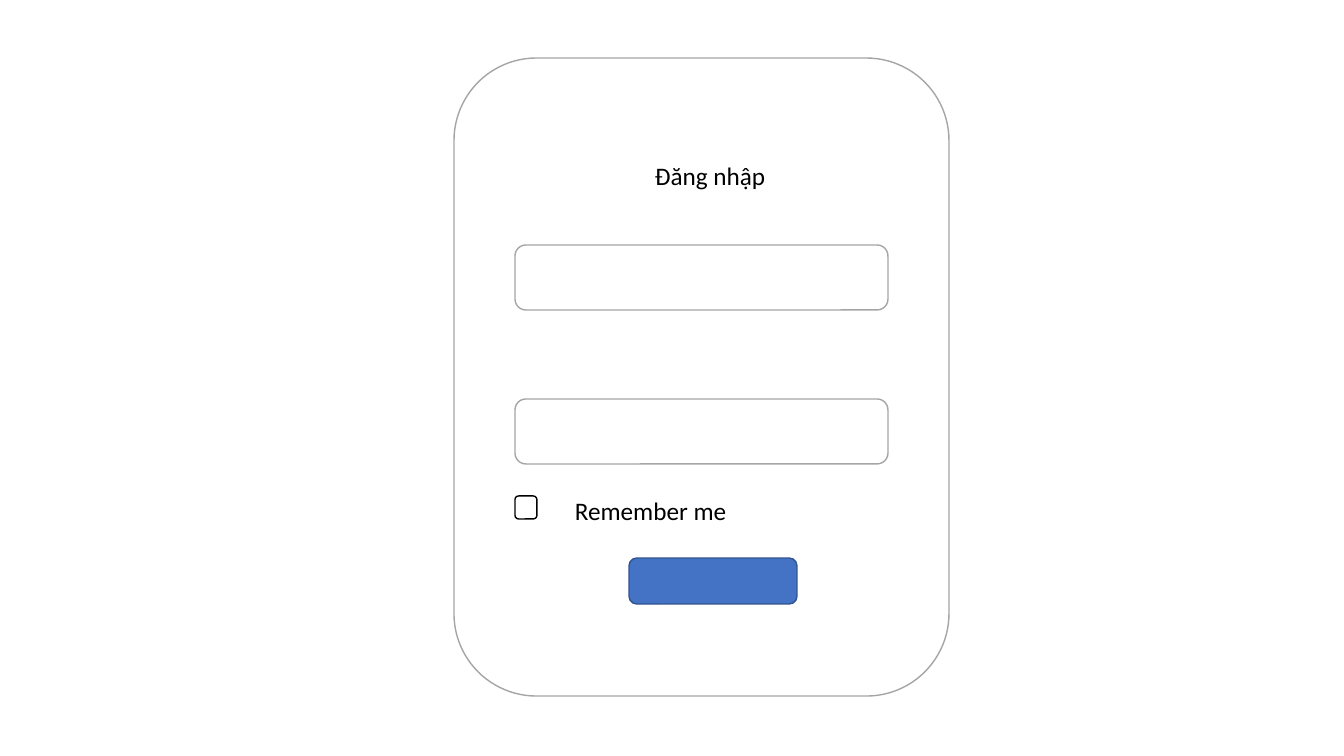
import pptx
import pptx.util
import pptx.dml.color
import pptx.enum.shapes
import pptx.enum.text

RGBColor = pptx.dml.color.RGBColor
WHITE = RGBColor(0xFF, 0xFF, 0xFF)
BLACK = RGBColor(0, 0, 0)
GREY = RGBColor(0xA5, 0xA5, 0xA5)
BLUE = RGBColor(0x44, 0x72, 0xC4)
DARK_BLUE = RGBColor(0x32, 0x54, 0x91)

PX_PER_INCH = 100.8
FIELD_LEFT, FIELD_TOP, FIELD_STEP = 515, 245, 154


def px(n):
    """Turn picture pixels into EMU."""
    return pptx.util.Inches(n / PX_PER_INCH)


def add_box(s, x, y, w, h, fill=WHITE, line=GREY):
    """Add a rounded rectangle with a 1 pt outline."""
    kind = pptx.enum.shapes.MSO_SHAPE.ROUNDED_RECTANGLE
    sp = s.shapes.add_shape(kind, px(x), px(y), px(w), px(h))
    sp.shadow.inherit = False
    sp.fill.solid()
    sp.fill.fore_color.rgb = fill
    sp.line.color.rgb = line
    sp.line.width = pptx.util.Pt(1)
    return sp


def add_text(s, text, x, y, w, h, size=18, font="Calibri", color=BLACK):
    """Add a wrapping text box holding one line of text."""
    tf = s.shapes.add_textbox(px(x), px(y), px(w), px(h)).text_frame
    tf.word_wrap = True
    tf.auto_size = pptx.enum.text.MSO_AUTO_SIZE.SHAPE_TO_FIT_TEXT
    r = tf.paragraphs[0].add_run()
    r.text = text
    r.font.size = pptx.util.Pt(size)
    r.font.name = font
    r.font.color.rgb = color


def main():
    """Build the login form slide."""
    prs = pptx.Presentation()
    prs.slide_width = px(1344)
    prs.slide_height = px(756)
    s = prs.slides.add_slide(prs.slide_layouts[6])

    # Login card and its two input fields
    add_box(s, 454, 58, 495, 638)
    for i in range(2):
        add_box(s, FIELD_LEFT, FIELD_TOP + i * FIELD_STEP, 373, 65)
    add_text(s, "Đăng nhập", 645, 155, 303, 40)

    # Submit button and remember-me checkbox
    add_box(s, 629, 558, 168, 46, fill=BLUE, line=DARK_BLUE)
    add_box(s, FIELD_LEFT, 496, 22, 23, line=BLACK)
    add_text(s, "Remember me ", 565, 490, 297, 40)

    prs.save("out.pptx")


main()
